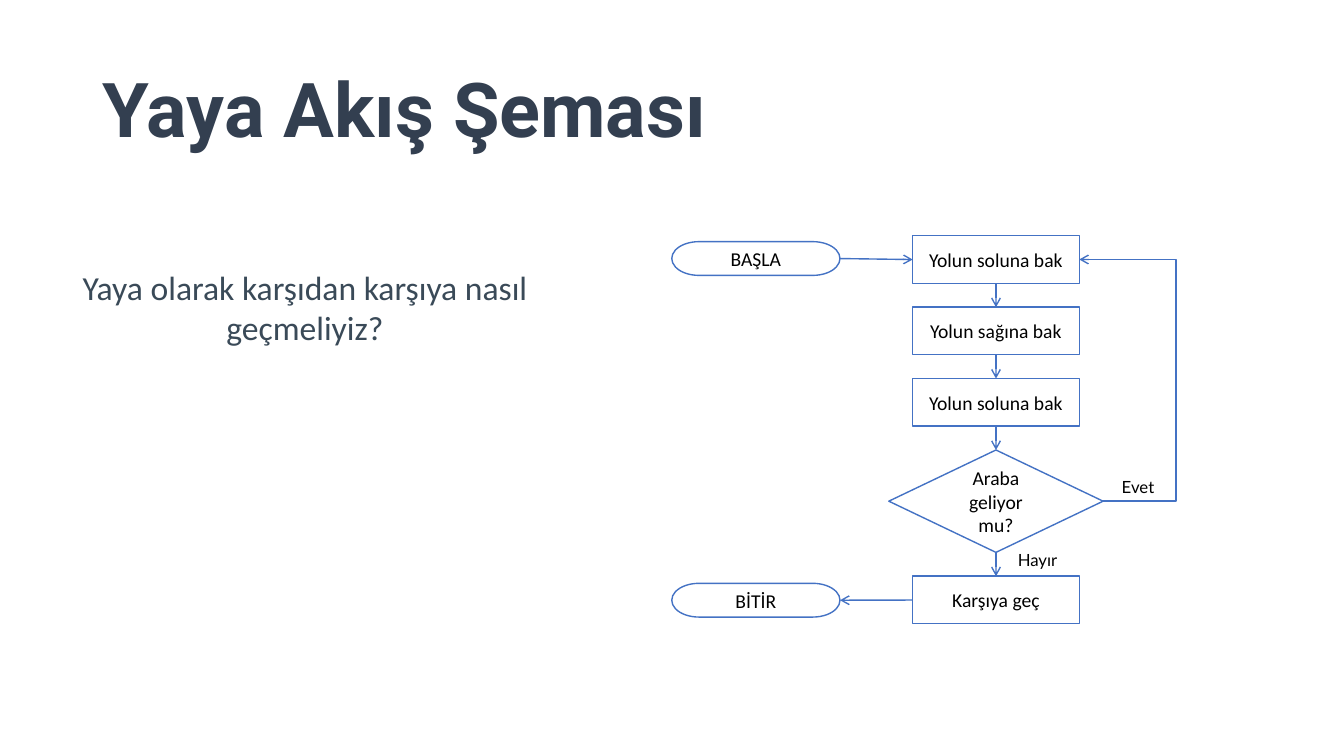
from lxml import etree
from pptx import Presentation
from pptx.dml.color import RGBColor
from pptx.enum.shapes import MSO_CONNECTOR, MSO_SHAPE
from pptx.enum.text import MSO_ANCHOR, MSO_AUTO_SIZE, PP_ALIGN
from pptx.oxml.ns import qn
from pptx.util import Cm, Pt

RECT = MSO_SHAPE.RECTANGLE
TERMINATOR = MSO_SHAPE.FLOWCHART_TERMINATOR
DECISION = MSO_SHAPE.FLOWCHART_DECISION
STRAIGHT, ELBOW = MSO_CONNECTOR.STRAIGHT, MSO_CONNECTOR.ELBOW
LEFT, CENTER = PP_ALIGN.LEFT, PP_ALIGN.CENTER
MIDDLE = MSO_ANCHOR.MIDDLE
TOP_SITE, LEFT_SITE, BOTTOM_SITE, RIGHT_SITE = range(4)
BLUE, WHITE, BLACK = "4472C4", "FFFFFF", "000000"


def rgb(color):
    return RGBColor.from_string(color)


def write(shape, text, font, size, color, align):
    """Fill a shape with one formatted paragraph and return that paragraph."""
    tf = shape.text_frame
    tf.word_wrap = True
    p = tf.paragraphs[0]
    p.text = text
    p.alignment = align
    p.font.name, p.font.size, p.font.color.rgb = font, Pt(size), rgb(color)
    return p


prs = Presentation()
prs.slide_width, prs.slide_height = Cm(33.87), Cm(19.05)
s = prs.slides.add_slide(prs.slide_layouts[5])

# Title
title = s.shapes.title
title.left, title.top, title.width, title.height = Cm(2.33), Cm(1.01), Cm(24.46), Cm(3.68)
title.text_frame.vertical_anchor = MIDDLE
p = write(title, "Yaya Akış Şeması", "Roboto", 54, "333F50", LEFT)
p.font.bold = True
p.line_spacing = 0.9

# Question and branch labels
labels = [
    ("Yaya olarak karşıdan karşıya nasıl geçmeliyiz?", 1.32, 6.6, 12.73, 2.31, "Calibri", 24, "3A4A58", CENTER),
    ("Hayır", 25.4, 13.74, 1.57, 0.76, "Lato", 12, BLACK, LEFT),
    ("Evet", 28.02, 11.89, 1.57, 0.76, "Lato", 12, BLACK, LEFT),
]
for text, x, y, w, h, font, size, color, align in labels:
    box = s.shapes.add_textbox(Cm(x), Cm(y), Cm(w), Cm(h))
    write(box, text, font, size, color, align)
    box.text_frame.auto_size = MSO_AUTO_SIZE.SHAPE_TO_FIT_TEXT

# Flowchart steps: the main column is stacked with equal gaps
AXIS, COLUMN_TOP, GAP = 25.1, 5.94, 0.6
column = [
    (RECT, "Yolun soluna bak", 4.2, 1.2),
    (RECT, "Yolun sağına bak", 4.2, 1.2),
    (RECT, "Yolun soluna bak", 4.2, 1.2),
    (DECISION, "Araba geliyor mu?", 5.4, 2.58),
    (RECT, "Karşıya geç", 4.2, 1.2),
]
steps = [
    (TERMINATOR, "BAŞLA", 16.93, 6.09, 4.24, 0.85),
    (TERMINATOR, "BİTİR", 16.93, 14.7, 4.24, 0.85),
]
y = COLUMN_TOP
for kind, text, w, h in column:
    steps.append((kind, text, AXIS - w / 2, y, w, h))
    y += h + GAP

nodes = []
for kind, text, x, y, w, h in steps:
    sp = s.shapes.add_shape(kind, Cm(x), Cm(y), Cm(w), Cm(h))
    sp.shadow.inherit = False
    sp.fill.solid()
    sp.fill.fore_color.rgb = rgb(WHITE)
    sp.line.color.rgb = rgb(BLUE)
    sp.line.width = Pt(1)
    sp.text_frame.vertical_anchor = MIDDLE
    write(sp, text, "Calibri", 14, BLACK, CENTER)
    nodes.append(sp)
start, finish, *flow = nodes
first, decision, cross = flow[0], flow[3], flow[4]

# Arrows
links = [(STRAIGHT, a, BOTTOM_SITE, b, TOP_SITE) for a, b in zip(flow, flow[1:])]
links += [
    (STRAIGHT, start, RIGHT_SITE, first, LEFT_SITE),
    (STRAIGHT, cross, LEFT_SITE, finish, RIGHT_SITE),
    (ELBOW, decision, RIGHT_SITE, first, RIGHT_SITE),
]
for kind, a, a_site, b, b_site in links:
    link = s.shapes.add_connector(kind, 0, 0, 0, 0)
    link.begin_connect(a, a_site)
    link.end_connect(b, b_site)
    link.line.color.rgb = rgb(BLUE)
    link.line.width = Pt(1)
    etree.SubElement(link.line._get_or_add_ln(), qn("a:tailEnd"), type="arrow")
    spPr = link._element.spPr
    etree.SubElement(spPr, qn("a:effectLst"))
    if kind == ELBOW:
        # The bend lies outside the ends, so its share of the width is negative
        bend = round((decision.left + decision.width - Cm(29.64)) / link.width * 100000)
        guides = spPr.find(qn("a:prstGeom")).find(qn("a:avLst"))
        etree.SubElement(guides, qn("a:gd"), name="adj1", fmla=f"val {bend}")

prs.save("out.pptx")
